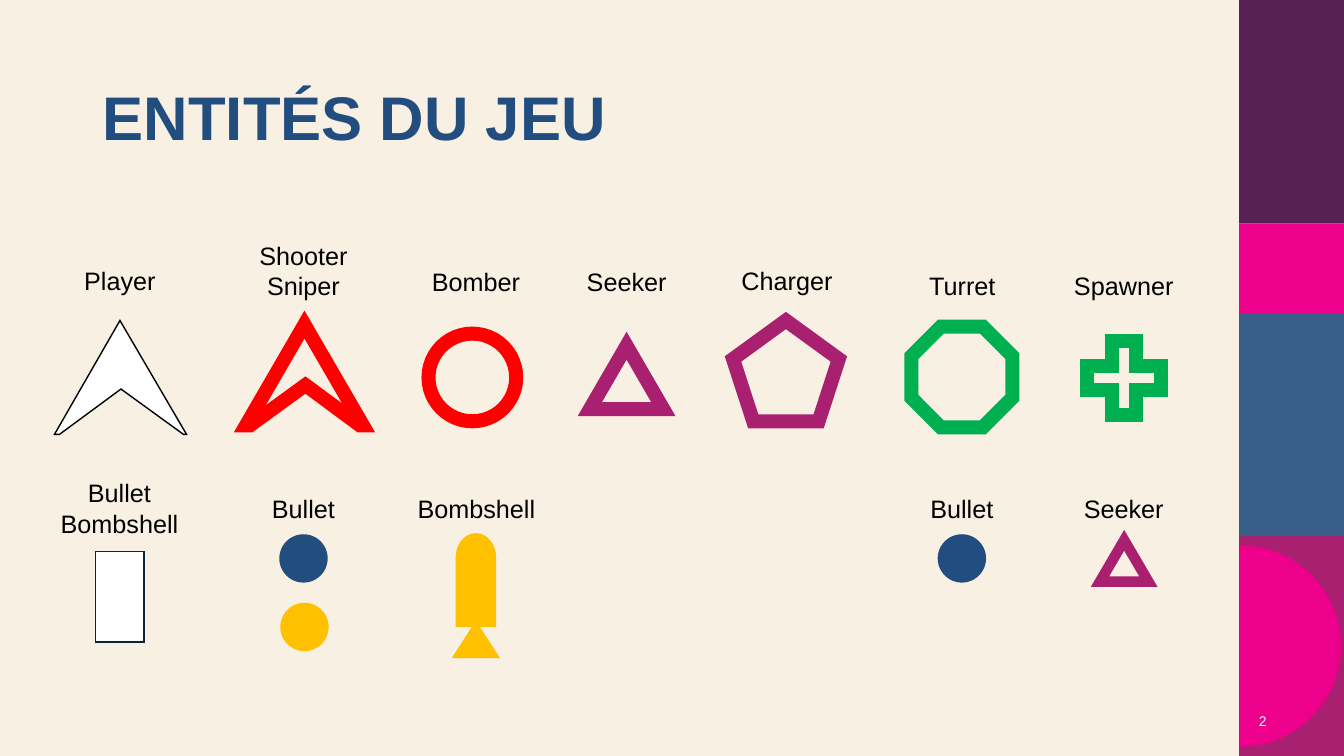
"""Build the slide that lists the game entities and what each one fires."""
from math import cos, radians, sin

from lxml import etree
from pptx import Presentation
from pptx.dml.color import RGBColor
from pptx.enum.shapes import MSO_SHAPE as Preset
from pptx.enum.text import MSO_ANCHOR as Anchor, MSO_AUTO_SIZE as AutoSize, PP_ALIGN as Align
from pptx.oxml.ns import qn
from pptx.util import Inches, Pt

FONT = "Arial"
CREAM, NAVY, MAGENTA, PINK = "F8F0E3", "224E7F", "AA2070", "EC008C"
RED, GREEN, YELLOW, WHITE, BLACK = "FF0000", "00B050", "FFC000", "FFFFFF", "000000"

TITLE = "ENTITÉS DU JEU"
SIDEBAR_LEFT, SIDEBAR_WIDTH = 12.29, 1.11
SIDEBAR = [
    (5.28, 2.22, MAGENTA),
    (3.1, 2.22, "385E88"),
    (0, 2.22, "582156"),
    (2.22, 0.89, PINK),
]

LABELS = [
    (["Player"], 0.71, 2.58, 0.96),
    (["Shooter", "Sniper"], 2.45, 2.33, 1.12),
    (["Bomber"], 4.15, 2.59, 1.14),
    (["Seeker"], 5.72, 2.59, 0.99),
    (["Charger"], 7.23, 2.58, 1.15),
    (["Turret"], 9.11, 2.63, 0.87),
    (["Spawner"], 10.54, 2.63, 1.21),
    (["Bullet", "Bombshell"], 0.47, 4.69, 1.43),
    (["Bullet"], 2.58, 4.84, 0.86),
    (["Bombshell"], 4.01, 4.84, 1.43),
    (["Bullet"], 9.11, 4.84, 0.86),
    (["Seeker"], 10.65, 4.84, 0.99),
]

ENTITIES = [
    (Preset.MATH_PLUS, (10.65, 3.25, 1, 1), None, (GREEN, 10)),
    (Preset.REGULAR_PENTAGON, (7.27, 3.18, 1.05, 1), None, (MAGENTA, 10)),
    (Preset.ISOSCELES_TRIANGLE, (5.85, 3.43, 0.73, 0.63), None, (MAGENTA, 10)),
    (Preset.OVAL, (4.25, 3.31, 0.87, 0.87), None, (RED, 10)),
    (Preset.OCTAGON, (9.04, 3.24, 1, 1), None, (GREEN, 10)),
    (Preset.RECTANGLE, (0.95, 5.47, 0.48, 0.9), WHITE, ("0F2238", 1)),
    (Preset.OVAL, (2.77, 5.3, 0.48, 0.48), NAVY, None),
    (Preset.OVAL, (2.78, 5.98, 0.48, 0.48), YELLOW, None),
    (Preset.OVAL, (9.3, 5.3, 0.48, 0.48), NAVY, None),
    (Preset.ISOSCELES_TRIANGLE, (10.91, 5.36, 0.48, 0.41), None, (MAGENTA, 7.5)),
]


def arc(center_x, center_y, radius_x, radius_y, start, end):
    """Return points along an elliptical arc, with angles in degrees."""
    return [
        (center_x + radius_x * cos(radians(angle)), center_y + radius_y * sin(radians(angle)))
        for angle in range(start, end + 1, 5)
    ]


OUTLINES = [
    (arc(12.3, 6.41, 1, 1, -90, 90), PINK, None),
    ([(3.02, 3.22), (3.6, 4.22), (3.57, 4.22), (3.03, 3.82), (2.48, 4.22), (2.44, 4.22)],
     CREAM, (RED, 10)),
    ([(1.19, 3.18), (1.85, 4.31), (1.82, 4.31), (1.2, 3.86), (0.59, 4.31), (0.54, 4.31)],
     WHITE, (BLACK, 1)),
    (arc(4.72, 5.53, 0.2, 0.24, -180, 0)
     + [(4.92, 6.22), (4.76, 6.22), (4.96, 6.53), (4.48, 6.53), (4.68, 6.22), (4.52, 6.22)],
     YELLOW, None),
]


def color(value):
    """Turn a hex string into a colour."""
    return RGBColor.from_string(value)


def paint(shape, fill, line):
    """Set the fill and the mitred outline of a shape."""
    shape.shadow.inherit = False
    if fill:
        shape.fill.solid()
        shape.fill.fore_color.rgb = color(fill)
    else:
        shape.fill.background()
    if line:
        shape.line.color.rgb = color(line[0])
        shape.line.width = Pt(line[1])
        outline = shape.element.spPr.find(qn("a:ln"))
        etree.SubElement(outline, qn("a:miter"), lim="800000")
    else:
        shape.line.fill.background()


def add_preset(slide, preset, box, fill, line):
    """Add a painted preset shape."""
    paint(slide.shapes.add_shape(preset, *map(Inches, box)), fill, line)


def add_outline(slide, points, fill, line):
    """Add a painted closed polygon."""
    corners = [(Inches(x), Inches(y)) for x, y in points]
    builder = slide.shapes.build_freeform(*corners[0])
    builder.add_line_segments(corners[1:], close=True)
    paint(builder.convert_to_shape(), fill, line)


def write(frame, lines, size, hue, align, bold=False):
    """Write one paragraph per line in a text frame."""
    frame.text = "\n".join(lines)
    for paragraph in frame.paragraphs:
        paragraph.alignment = align
        paragraph.font.name = FONT
        paragraph.font.size = Pt(size)
        paragraph.font.bold = bold
        paragraph.font.color.rgb = color(hue)


def place_title(slide):
    """Move and format the title placeholder."""
    title = slide.shapes.title
    title.left, title.top, title.width, title.height = map(Inches, (0.92, 0.82, 10.4, 1.49))
    frame = title.text_frame
    write(frame, [TITLE], 44, NAVY, Align.LEFT, bold=True)
    frame.auto_size = AutoSize.NONE
    frame.vertical_anchor = Anchor.TOP
    frame.paragraphs[0].line_spacing = 0.9


def add_label(slide, lines, left, top, width):
    """Add a centred entity name."""
    height = 0.4 if len(lines) == 1 else 0.71
    frame = slide.shapes.add_textbox(*map(Inches, (left, top, width, height))).text_frame
    write(frame, lines, 18, BLACK, Align.CENTER)
    frame.word_wrap = False
    frame.auto_size = AutoSize.SHAPE_TO_FIT_TEXT


def add_page_number(slide):
    """Add the page number at the foot of the sidebar."""
    frame = slide.shapes.add_textbox(*map(Inches, (12.16, 6.95, 0.5, 0.4))).text_frame
    write(frame, ["2"], 10, WHITE, Align.RIGHT)
    frame.word_wrap = True
    frame.vertical_anchor = Anchor.MIDDLE


def main():
    """Assemble and save the presentation."""
    presentation = Presentation()
    presentation.slide_width, presentation.slide_height = Inches(13.33), Inches(7.5)
    slide = presentation.slides.add_slide(presentation.slide_layouts[5])
    slide.background.fill.solid()
    slide.background.fill.fore_color.rgb = color(CREAM)

    place_title(slide)
    for top, height, fill in SIDEBAR:
        box = (SIDEBAR_LEFT, top, SIDEBAR_WIDTH, height)
        add_preset(slide, Preset.RECTANGLE, box, fill, None)
    for entity in ENTITIES:
        add_preset(slide, *entity)
    for outline in OUTLINES:
        add_outline(slide, *outline)
    for label in LABELS:
        add_label(slide, *label)
    add_page_number(slide)
    presentation.save("out.pptx")


if __name__ == "__main__":
    main()
